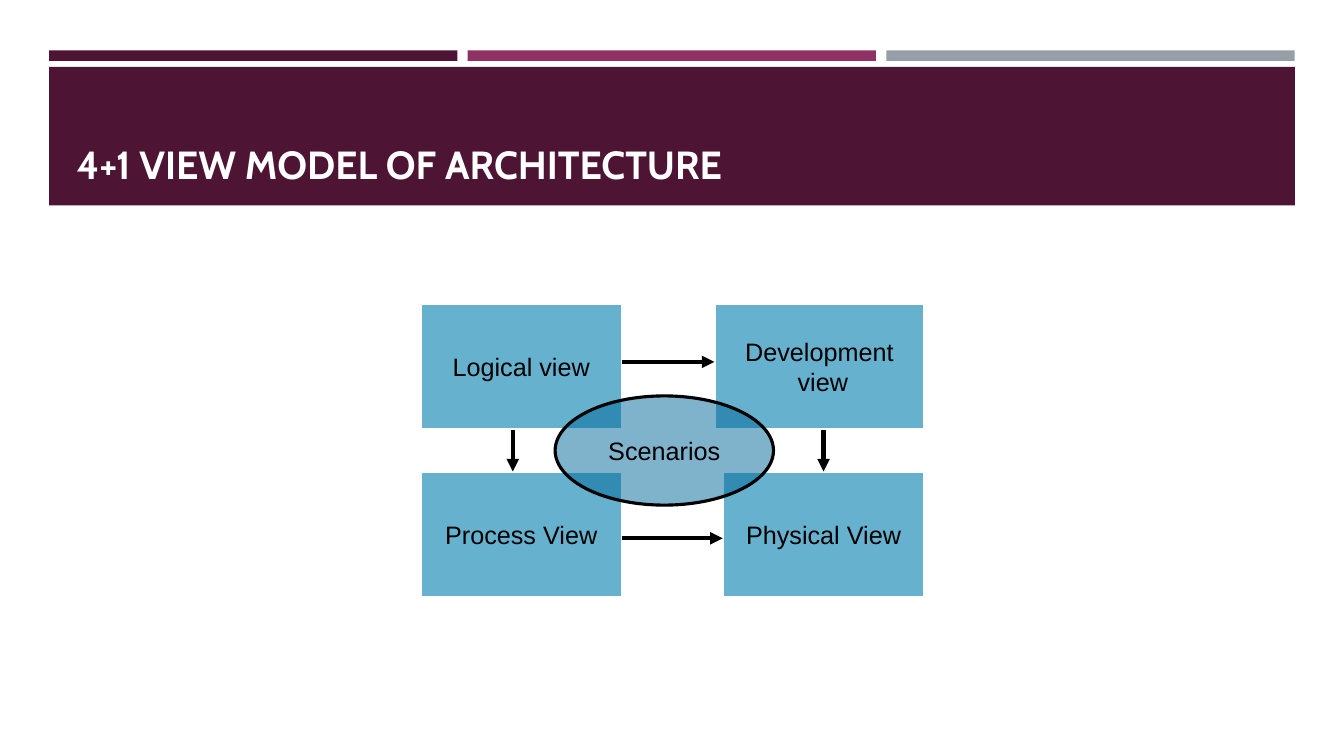
from pptx import Presentation
from pptx.dml.color import RGBColor
from pptx.enum.shapes import MSO_CONNECTOR as CONN, MSO_SHAPE as SHAPE
from pptx.enum.text import MSO_ANCHOR as ANCHOR, PP_ALIGN as ALIGN
from pptx.oxml.xmlchemy import OxmlElement
from pptx.util import Pt

COLORS = {
    "plum": "4D1434",
    "magenta": "903163",
    "gray": "969FA7",
    "sky": "66B1CE",
    "ocean": "006699",
    "black": "000000",
    "white": "FFFFFF",
}


def rgb(name):
    return RGBColor.from_string(COLORS[name])


def write(tf, text, size=18, font="Arial", color="black", bold=False,
          align=ALIGN.CENTER, anchor=ANCHOR.MIDDLE):
    tf.word_wrap = True
    tf.vertical_anchor = anchor
    p = tf.paragraphs[0]
    p.text = text
    p.alignment = align
    for r in p.runs:
        r.font.size = Pt(size)
        r.font.name = font
        r.font.bold = bold
        r.font.color.rgb = rgb(color)


def add_block(s, kind, left, top, width, height, fill, line=None, line_width=2):
    sp = s.shapes.add_shape(kind, Pt(left), Pt(top), Pt(width), Pt(height))
    sp.shadow.inherit = False
    sp.fill.solid()
    sp.fill.fore_color.rgb = rgb(fill)
    if line:
        sp.line.color.rgb = rgb(line)
        sp.line.width = Pt(line_width)
    else:
        sp.line.fill.background()
    return sp


def set_alpha(sp, percent):
    alpha = OxmlElement("a:alpha")
    alpha.set("val", str(percent * 1000))
    sp.fill._xPr.find(".//{*}srgbClr").append(alpha)


def add_arrow(s, x1, y1, x2, y2):
    c = s.shapes.add_connector(CONN.STRAIGHT, Pt(x1), Pt(y1), Pt(x2), Pt(y2))
    c.line.color.rgb = rgb("black")
    c.line.width = Pt(3)
    tail = OxmlElement("a:tailEnd")
    tail.set("type", "triangle")
    c.line._get_or_add_ln().append(tail)
    c._element.spPr.append(OxmlElement("a:effectLst"))


def add_header(s):
    for i, color in enumerate(("plum", "magenta", "gray")):
        add_block(s, SHAPE.RECTANGLE, 35.1 + i * 299, 36, 291.6, 7.5, color)
    add_block(s, SHAPE.RECTANGLE, 35.1, 47.8, 889.9, 99, "plum")
    title = s.shapes.add_textbox(Pt(47.6), Pt(68.4), Pt(679), Pt(69))
    write(title.text_frame, "4+1 VIEW MODEL OF ARCHITECTURE", size=28, font="Cabin",
          color="white", bold=True, align=ALIGN.LEFT, anchor=ANCHOR.BOTTOM)


def add_views(s):
    left, right, top, bottom = 300.3, 660.3, 216.8, 336.8
    width, wide, height = 144, 150, 90
    views = [
        ("Logical view", left, top, width),
        ("Physical View", right - width, bottom, width),
        ("Process View", left, bottom, width),
        ("Development\v view", right - wide, top, wide),
    ]
    for text, x, y, w in views:
        sp = add_block(s, SHAPE.RECTANGLE, x, y, w, height, "sky", "white")
        write(sp.text_frame, text)

    scenarios = add_block(s, SHAPE.OVAL, 396.5, 282.8, 156, 78, "ocean", "black", 2.25)
    set_alpha(scenarios, 50)
    write(scenarios.text_frame, "Scenarios")

    for x in (366.3, 588.3):
        add_arrow(s, x, top + height, x, bottom)
    for y, w in ((258.5, wide), (384.5, width)):
        add_arrow(s, left + width, y, right - w, y)


def main():
    prs = Presentation()
    prs.slide_width, prs.slide_height = Pt(960), Pt(540)
    s = prs.slides.add_slide(prs.slide_layouts[6])
    add_header(s)
    add_views(s)
    prs.save("out.pptx")


if __name__ == "__main__":
    main()
